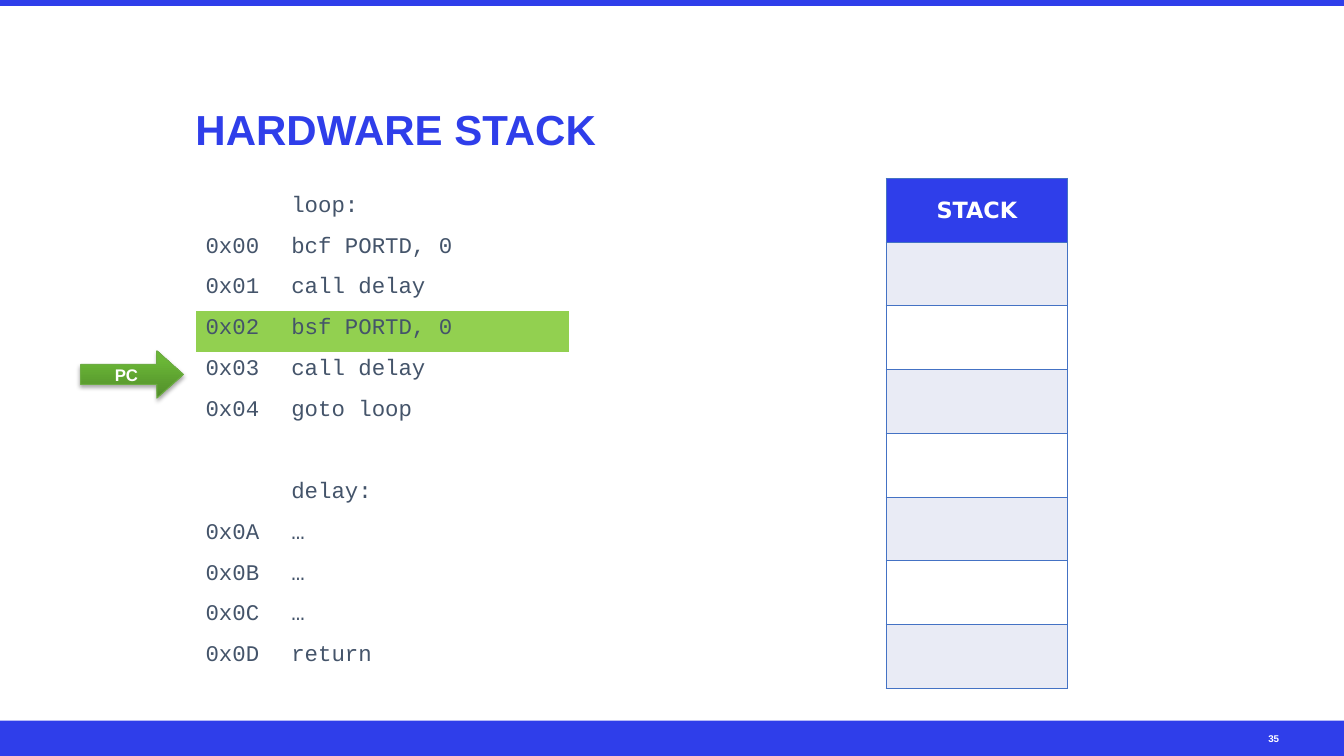
from lxml.etree import SubElement
from pptx import Presentation
from pptx.dml.color import RGBColor
from pptx.enum.shapes import MSO_SHAPE as Shape
from pptx.enum.text import MSO_ANCHOR as Anchor, PP_ALIGN as Align
from pptx.oxml import parse_xml
from pptx.oxml.ns import nsdecls, qn
from pptx.util import Inches, Pt

BLUE = RGBColor(0x2F, 0x3E, 0xEA)
EDGE = RGBColor(0x44, 0x72, 0xC4)
PALE = RGBColor(0xE9, 0xEB, 0xF5)
WHITE = RGBColor(0xFF, 0xFF, 0xFF)
SLATE = RGBColor(0x44, 0x54, 0x6A)
LIME = RGBColor(0x92, 0xD0, 0x50)
RIM = RGBColor(0x6D, 0xAC, 0x43)
SHADE = ((0, RGBColor(0x51, 0x8D, 0x2A)),
         (80, RGBColor(0x6A, 0xB6, 0x36)),
         (100, RGBColor(0x6A, 0xBA, 0x34)))
PLAIN = "{2D5ABB26-0587-4C30-8999-92F81FD0307C}"

HEAD = dict(name="Arial", size=Pt(30), bold=True, color=BLUE)
PAGE = dict(name="Arial", size=Pt(7), bold=True, color=WHITE)
LABEL = dict(name="Arial", size=Pt(12), bold=True, color=WHITE)
CODE = dict(name="Courier New", size=Pt(16), bold=False, color=SLATE)
TOP = dict(name="DejaVu Sans", size=Pt(16), bold=True, color=WHITE)

LINES = [
    ("", "loop:"),
    ("0x00", "bcf PORTD, 0"),
    ("0x01", "call delay"),
    ("0x02", "bsf PORTD, 0"),
    ("0x03", "call delay"),
    ("0x04", "goto loop"),
    ("", ""),
    ("", "delay:"),
    ("0x0A", "…"),
    ("0x0B", "…"),
    ("0x0C", "…"),
    ("0x0D", "return"),
]
ACTIVE = 3
SLOTS = 7


class Deck:
    """Places elements on one slide; lengths are percent of its size."""

    def __init__(self):
        self.show = Presentation()
        self.show.slide_width = Inches(13.33)
        self.show.slide_height = Inches(7.5)
        self.slide = self.show.slides.add_slide(self.show.slide_layouts[6])
        self.shapes = self.slide.shapes

    def across(self, share):
        return round(self.show.slide_width * share / 100)

    def down(self, share):
        return round(self.show.slide_height * share / 100)

    def box(self, left, top, width, height):
        return (self.across(left), self.down(top),
                self.across(width), self.down(height))

    def label(self, frame, text, style, align=Align.LEFT):
        para = frame.paragraphs[0]
        para.alignment = align
        if not text:
            return
        run = para.add_run()
        run.text = text
        for key, value in style.items():
            if key == "color":
                run.font.color.rgb = value
            else:
                setattr(run.font, key, value)

    def bar(self, *place):
        bar = self.shapes.add_shape(Shape.RECTANGLE, *self.box(*place))
        bar.shadow.inherit = False
        bar.fill.solid()
        bar.fill.fore_color.rgb = BLUE
        bar.line.fill.background()

    def text(self, place, text, style, anchor):
        frame = self.shapes.add_textbox(*self.box(*place)).text_frame
        frame.word_wrap = True
        frame.vertical_anchor = anchor
        frame.margin_left = frame.margin_right = 0
        frame.margin_top = frame.margin_bottom = 0
        self.label(frame, text, style)

    def arrow(self, place, text):
        arrow = self.shapes.add_shape(Shape.RIGHT_ARROW, *self.box(*place))
        arrow.adjustments[0], arrow.adjustments[1] = 0.42, 0.56
        arrow.fill.gradient()
        arrow.fill.gradient_angle = 90
        stops = arrow.element.spPr.find(".//" + qn("a:gsLst"))
        for stop in list(stops):
            stops.remove(stop)
        for share, color in SHADE:
            stop = SubElement(stops, qn("a:gs"), pos=str(share * 1000))
            SubElement(stop, qn("a:srgbClr"), val=str(color))
        arrow.line.color.rgb = RIM
        arrow.line.width = Pt(0.75)
        arrow.shadow.inherit = False
        arrow.element.spPr.find(qn("a:effectLst")).append(parse_xml(
            f'<a:outerShdw {nsdecls("a")} blurRad="{Pt(3.1)}" '
            f'dist="{Pt(1.8)}" dir="5400000" rotWithShape="0">'
            '<a:srgbClr val="000000"><a:alpha val="35000"/></a:srgbClr>'
            '</a:outerShdw>'))
        frame = arrow.text_frame
        frame.vertical_anchor = Anchor.MIDDLE
        self.label(frame, text, LABEL, Align.CENTER)

    def table(self, place, rows, widths):
        """Adds a table without any banding or borders of its own."""
        frame = self.shapes.add_table(len(rows), len(widths),
                                      *self.box(*place))
        grid = frame.table
        grid._tbl.tblPr.find(qn("a:tableStyleId")).text = PLAIN
        grid.first_row = grid.horz_banding = False
        for col, width in zip(grid.columns, widths):
            col.width = self.across(width)
        for row in grid.rows:
            row.height = round(self.down(place[3]) / len(rows))
        return grid

    def paint(self, cell, color):
        if color is None:
            cell.fill.background()
        else:
            cell.fill.solid()
            cell.fill.fore_color.rgb = color

    def rule(self, cell):
        """Draws a thin border on all four sides of a cell."""
        props = cell._tc.get_or_add_tcPr()
        for spot, side in enumerate("LRTB"):
            props.insert(spot, parse_xml(
                f'<a:ln{side} {nsdecls("a")} w="{Pt(1)}"><a:solidFill>'
                f'<a:srgbClr val="{EDGE}"/></a:solidFill></a:ln{side}>'))

    def code(self, place, lines, widths):
        grid = self.table(place, lines, widths)
        for r, line in enumerate(lines):
            for c, text in enumerate(line):
                cell = grid.cell(r, c)
                self.paint(cell, LIME if r == ACTIVE else None)
                self.label(cell.text_frame, text, CODE)

    def stack(self, place, name):
        rows = [name] + [""] * SLOTS
        grid = self.table(place, rows, [place[2]])
        for r, text in enumerate(rows):
            cell = grid.cell(r, 0)
            cell.vertical_anchor = Anchor.MIDDLE
            self.paint(cell, BLUE if r == 0 else PALE if r % 2 else WHITE)
            self.rule(cell)
            self.label(cell.text_frame, text, TOP, Align.CENTER)


def main():
    deck = Deck()
    deck.bar(0, 95.33, 100, 4.67)
    deck.bar(0, 0, 100, 0.8)
    deck.text((14.55, 6.27, 76.37, 14.13), "HARDWARE STACK", HEAD,
              Anchor.BOTTOM)
    deck.stack((65.94, 23.6, 13.5, 67.47), "STACK")
    deck.text((94.37, 95.33, 3.53, 4.67), "35", PAGE, Anchor.MIDDLE)
    deck.code((14.55, 24.93, 27.76, 64.93), LINES, (6.38, 21.38))
    deck.arrow((6, 46.4, 7.65, 6.27), "PC")
    deck.show.save("out.pptx")


if __name__ == "__main__":
    main()
